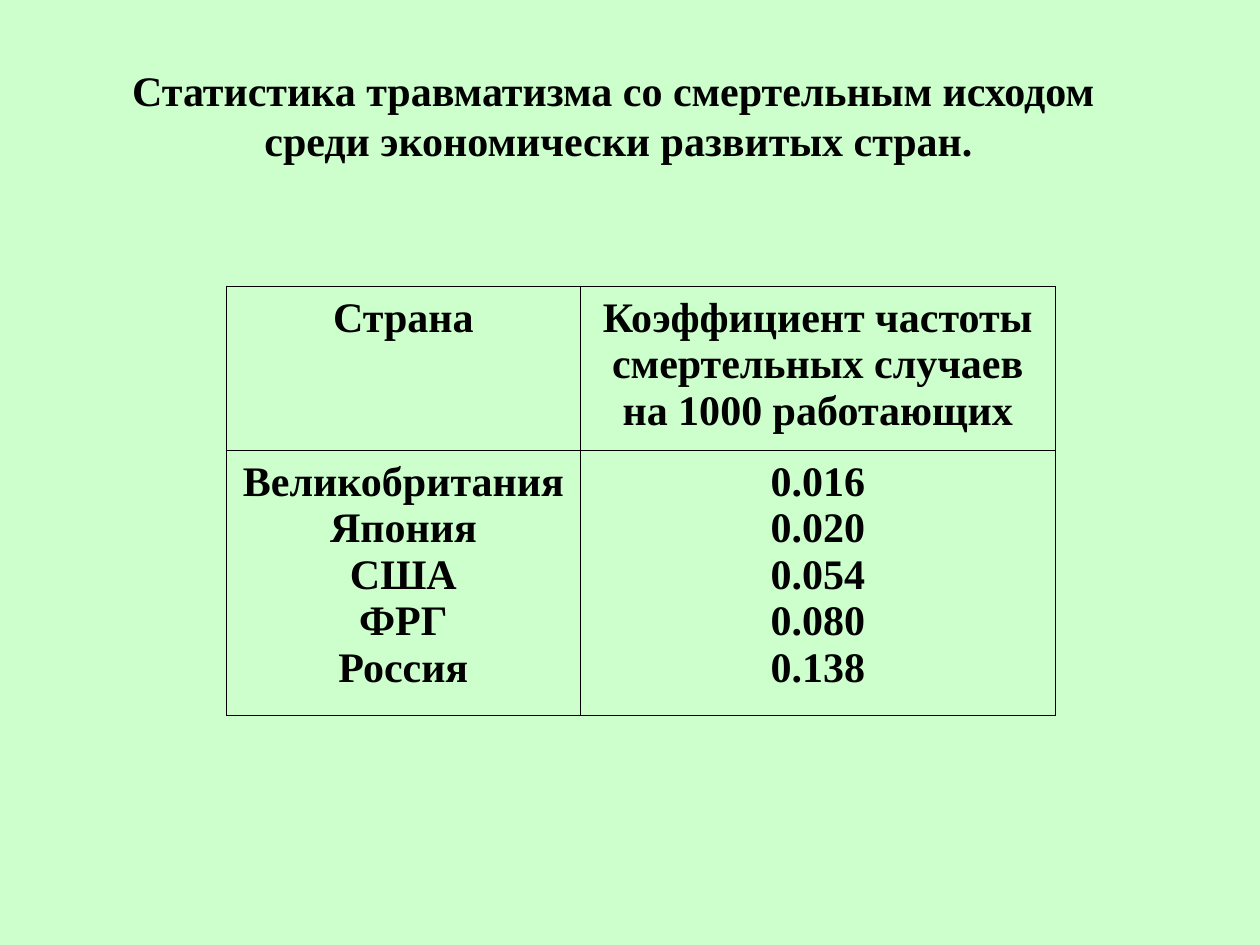
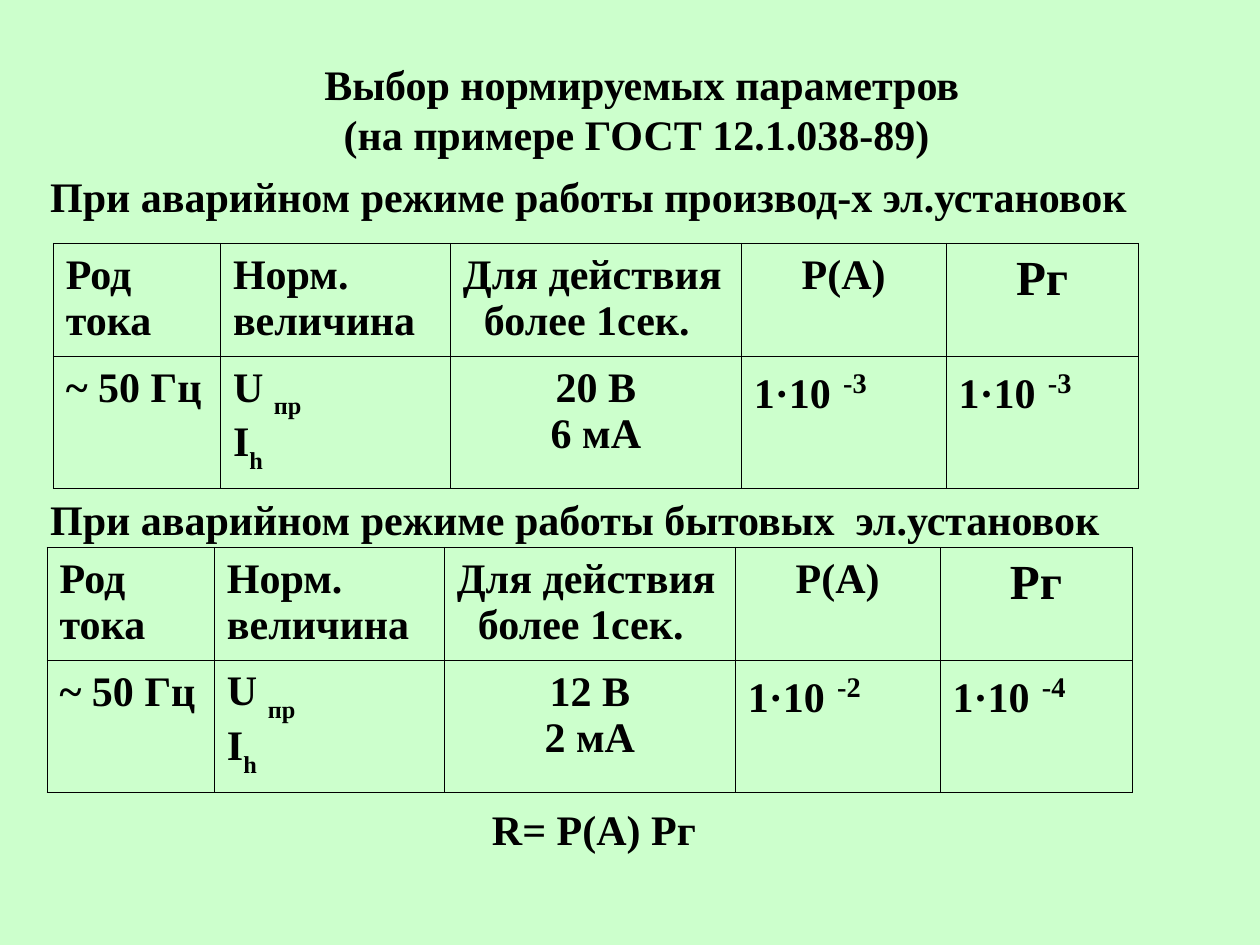
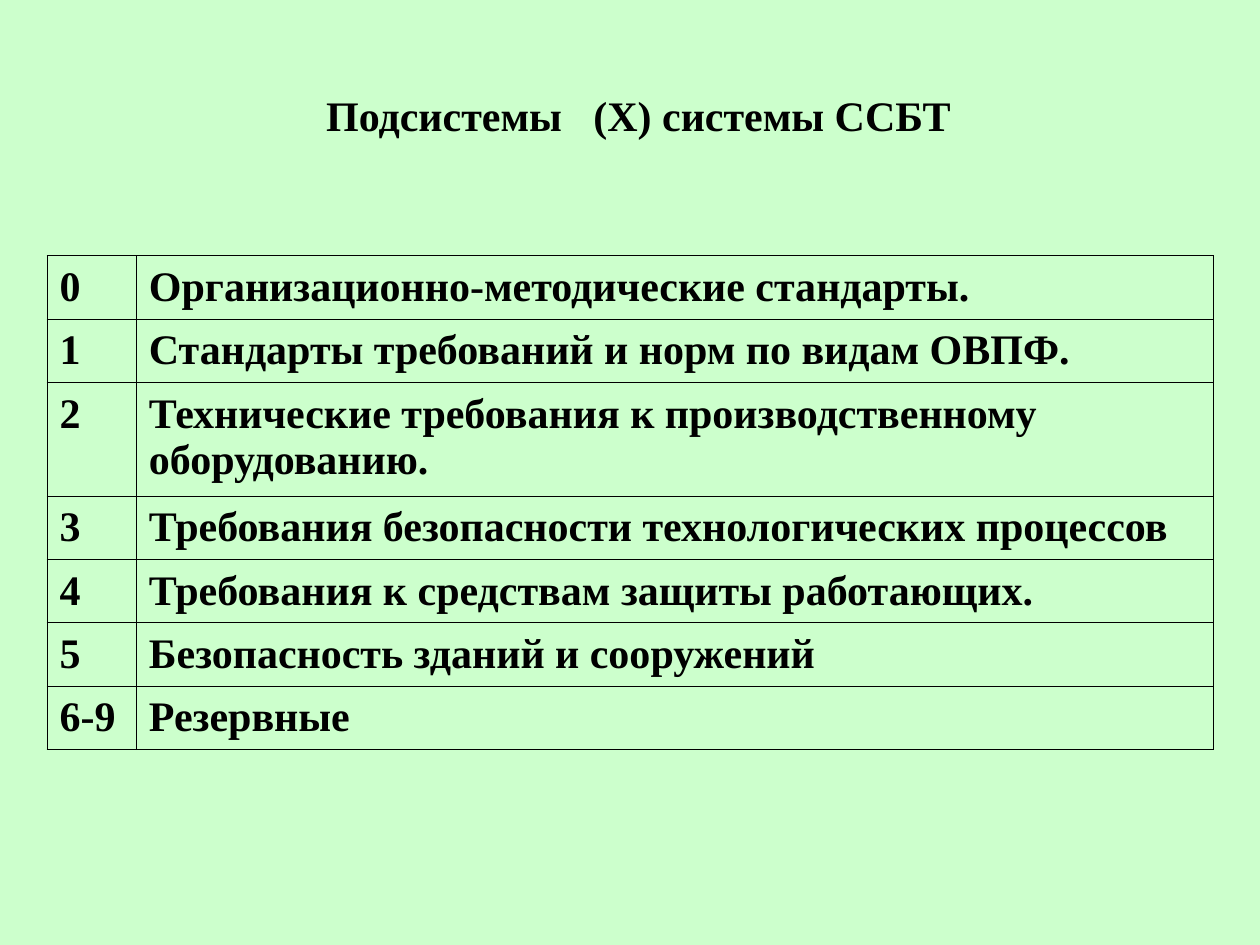
from dataclasses import dataclass

from lxml.etree import SubElement
from pptx import Presentation
from pptx.dml.color import RGBColor
from pptx.enum.text import MSO_ANCHOR as Anchor, PP_ALIGN as Align
from pptx.oxml.ns import qn
from pptx.util import Pt

MINT = RGBColor(0xCC, 0xFF, 0xCC)
BLACK = RGBColor(0x00, 0x00, 0x00)

# Text sizes and line heights
BODY_SIZE = 24
LARGE_SIZE = 28
TITLE_LEADING = 28.6
TABLE_LEADING = 26.6
LARGE_LEADING = 31
SUBSCRIPT_LEADING = 31.4


@dataclass
class Line:
    """One paragraph; each span is (text, size, baseline shift in percent)."""
    spans: list
    leading: float = TABLE_LEADING
    align: Align = Align.LEFT
    indent: float = 0


def plain(text, leading=TABLE_LEADING, align=Align.LEFT, indent=0):
    return Line([(text, BODY_SIZE, 0)], leading, align, indent)


def centered(text):
    return plain(text, align=Align.CENTER)


def subscripted(text, index):
    return Line([(text, BODY_SIZE, 0), (index, BODY_SIZE, -30)], SUBSCRIPT_LEADING)


def power_of_ten(exponent):
    return Line([("1·10", BODY_SIZE, 0), (" ", LARGE_SIZE, 0),
                 (exponent, LARGE_SIZE, 30)], LARGE_LEADING)


class SlideBuilder:
    font = "Times New Roman"
    side_inset, top_inset, bottom_inset = 7.2, 4.8, 3.6
    border_width = 0.45

    def __init__(self):
        self.deck = Presentation()
        self.deck.slide_width, self.deck.slide_height = Pt(720), Pt(540)
        self.slide = None

    def new_slide(self):
        self.slide = self.deck.slides.add_slide(self.deck.slide_layouts[6])
        fill = self.slide.background.fill
        fill.solid()
        fill.fore_color.rgb = MINT

    def set_insets(self, holder):
        holder.margin_left = holder.margin_right = Pt(self.side_inset)
        holder.margin_top = Pt(self.top_inset)
        holder.margin_bottom = Pt(self.bottom_inset)

    def fill_frame(self, frame, lines):
        for number, line in enumerate(lines):
            para = frame.add_paragraph() if number else frame.paragraphs[0]
            para.alignment = line.align
            para.line_spacing = Pt(line.leading)
            if line.indent:
                para._p.get_or_add_pPr().set("marL", str(Pt(line.indent)))
            for text, size, shift in line.spans:
                span = para.add_run()
                span.text = text
                font = span.font
                font.name, font.size, font.bold = self.font, Pt(size), True
                font.color.rgb = BLACK
                if shift:
                    span._r.get_or_add_rPr().set("baseline", str(shift * 1000))

    def text(self, left, top, width, *texts, align=Align.CENTER):
        height = len(texts) * TITLE_LEADING + self.top_inset + self.bottom_inset
        box = self.slide.shapes.add_textbox(Pt(left), Pt(top), Pt(width), Pt(height))
        frame = box.text_frame
        frame.word_wrap = True
        self.set_insets(frame)
        self.fill_frame(frame, [plain(text, TITLE_LEADING, align) for text in texts])

    def border(self, cell):
        properties = cell._tc.get_or_add_tcPr()
        for position, side in enumerate(("lnL", "lnR", "lnT", "lnB")):
            edge = SubElement(properties, qn(f"a:{side}"), w=str(Pt(self.border_width)))
            properties.insert(position, edge)
            fill = SubElement(edge, qn("a:solidFill"))
            SubElement(fill, qn("a:srgbClr"), val=str(BLACK))

    def table(self, left, top, widths, heights, rows, filled=False):
        frame = self.slide.shapes.add_table(
            len(heights), len(widths), Pt(left), Pt(top), Pt(sum(widths)), Pt(sum(heights)))
        table = frame.table
        table.first_row = table.horz_banding = False
        for column, width in zip(table.columns, widths):
            column.width = Pt(width)
        for row, height, contents in zip(table.rows, heights, rows):
            row.height = Pt(height)
            for cell, lines in zip(row.cells, contents):
                self.set_insets(cell)
                cell.vertical_anchor = Anchor.TOP
                if filled:
                    cell.fill.solid()
                    cell.fill.fore_color.rgb = MINT
                else:
                    cell.fill.background()
                self.border(cell)
                self.fill_frame(cell.text_frame, lines)


# Slide 1: fatal injury rates by country
def injury_statistics(builder):
    builder.new_slide()
    builder.text(65.5, 32.4, 570, "Статистика травматизма со смертельным исходом",
                 " среди экономически развитых стран.")
    rates = {"Великобритания": "0.016", "Япония": "0.020", "США": "0.054",
             "ФРГ": "0.080", "Россия": "0.138"}
    header = [[centered("Страна")],
              [centered("Коэффициент частоты смертельных случаев на 1000 работающих")]]
    body = [[centered(text) for text in column] for column in (rates, rates.values())]
    builder.table(129.4, 163.6, [202.2, 271.4], [93.7, 151.4], [header, body], filled=True)


# Slide 2: limits for industrial and household installations
def current_limits(builder, left, top, voltage, current, accident, death):
    header = [
        [plain("Род"), plain("тока")],
        [plain("Норм."), plain("величина")],
        [plain("Для действия"), plain("более 1сек.", indent=12)],
        [centered("P(A)")],
        [Line([("Рг", LARGE_SIZE, 0)], LARGE_LEADING, Align.CENTER)],
    ]
    limits = [
        [plain("~ 50 Гц")],
        [subscripted("U ", "пр"), subscripted("I", "h")],
        [centered(voltage), centered(current)],
        [power_of_ten(accident)],
        [power_of_ten(death)],
    ]
    builder.table(left, top, [95.6, 131.4, 166.3, 117, 109.7], [64.7, 75.4], [header, limits])


def normalized_parameters(builder):
    builder.new_slide()
    builder.text(69.1, 28.8, 595.4, "Выбор нормируемых параметров",
                 "(на примере ГОСТ 12.1.038-89) ")
    for top, kind in ((92.9, "производ-х эл.установок"), (277.2, "бытовых  эл.установок")):
        builder.text(21.6, top, 698.4, f"При аварийном режиме работы {kind}", align=Align.LEFT)
    current_limits(builder, 30.4, 139, "20 В", "6 мА", "-3", "-3")
    current_limits(builder, 26.9, 312.7, "12 В", "2 мА", "-2", "-4")
    builder.text(229, 454.3, 226.8, "R= P(A) Рг ")


# Slide 3: subsystems of the safety standards
def standard_subsystems(builder):
    builder.new_slide()
    builder.text(79.9, 46.8, 570, "Подсистемы   (Х) системы ССБТ")
    subsystems = {
        "0": "Организационно-методические стандарты.",
        "1": "Стандарты требований и норм по видам ОВПФ.",
        "2": "Технические требования к производственному оборудованию.",
        "3": "Требования безопасности технологических процессов",
        "4": "Требования к средствам защиты работающих.",
        "5": "Безопасность зданий и сооружений",
        "6-9": "Резервные",
    }
    heights = [65 if code == "2" else 36.2 for code in subsystems]
    rows = [[[plain(code)], [plain(name)]] for code, name in subsystems.items()]
    builder.table(26.9, 146, [51, 615.4], heights, rows)


def main():
    builder = SlideBuilder()
    injury_statistics(builder)
    normalized_parameters(builder)
    standard_subsystems(builder)
    builder.deck.save("out.pptx")


if __name__ == "__main__":
    main()
